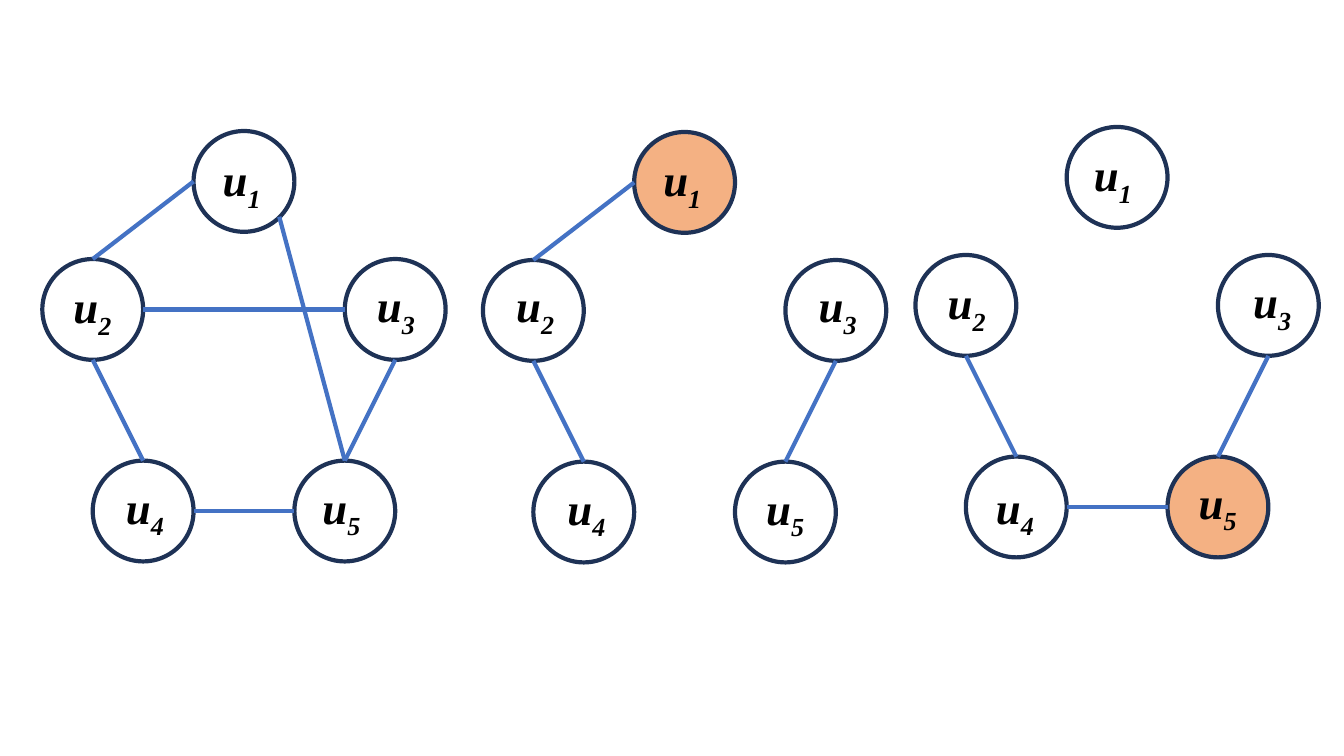
from dataclasses import dataclass
from typing import NamedTuple

from lxml import etree
from pptx import Presentation
from pptx.dml.color import RGBColor
from pptx.enum import shapes, text
from pptx.oxml import ns
from pptx.slide import Slide
from pptx.util import Inches, Pt


@dataclass(frozen=True)
class Theme:
    outline: RGBColor = RGBColor(0x1E, 0x32, 0x56)
    edge: RGBColor = RGBColor(0x44, 0x72, 0xC4)
    highlight: RGBColor = RGBColor(0xF4, 0xB1, 0x83)
    ink: RGBColor = RGBColor(0, 0, 0)
    font: str = "Times New Roman"
    label_size: Pt = Pt(32)
    line_width: Pt = Pt(3)


class Label(NamedTuple):
    left: float
    top: float
    width: float


class Edge(NamedTuple):
    start: int
    start_side: str
    end: int
    end_side: str


@dataclass(frozen=True)
class Graph:
    left: float
    top: float
    labels: dict[int, Label]
    edges: list[Edge]
    highlighted: int | None = None


THEME = Theme()
DIAMETER = 1.0
LABEL_HEIGHT = 0.64

# Node positions inside a graph, and points on a circle as shares of its box
NODES = {1: (1.5, 0), 5: (2.5, 3.27), 3: (3, 1.27), 2: (0, 1.27), 4: (0.5, 3.27)}
SIDES = {"top": (0.5, 0), "left": (0, 0.5), "bottom": (0.5, 1),
         "right": (1, 0.5), "lower right": (0.85, 0.85)}

# Edges by the nodes they join
U1_U2 = Edge(1, "left", 2, "top")
U2_U4 = Edge(2, "bottom", 4, "top")
U2_U3 = Edge(2, "right", 3, "left")
U3_U5 = Edge(3, "bottom", 5, "top")
U1_U5 = Edge(1, "lower right", 5, "top")
U4_U5 = Edge(4, "right", 5, "left")

GRAPHS = [
    Graph(0.42, 1.3,
          {1: Label(2.11, 1.46, 0.68), 3: Label(3.64, 2.71, 0.87),
           2: Label(0.63, 2.72, 0.73), 4: Label(1.15, 4.71, 0.78),
           5: Label(3.1, 4.71, 0.73)},
          [U1_U2, U2_U4, U2_U3, U3_U5, U1_U5, U4_U5]),
    Graph(4.79, 1.31,
          {1: Label(6.48, 1.46, 0.85), 3: Label(8.02, 2.71, 0.82),
           2: Label(5.02, 2.71, 0.85), 4: Label(5.53, 4.72, 0.69),
           5: Label(7.5, 4.72, 0.73)},
          [U1_U2, U2_U4, U3_U5], highlighted=1),
    Graph(9.08, 1.26,
          {1: Label(10.75, 1.41, 0.71), 3: Label(12.33, 2.67, 0.67),
           2: Label(9.3, 2.68, 0.73), 4: Label(9.78, 4.71, 0.69),
           5: Label(11.79, 4.66, 0.73)},
          [U2_U4, U3_U5, U4_U5], highlighted=5),
]


def draw_node(page: Slide, graph: Graph, node: int) -> None:
    x, y = NODES[node]
    circle = page.shapes.add_shape(
        shapes.MSO_SHAPE.OVAL, Inches(graph.left + x), Inches(graph.top + y),
        Inches(DIAMETER), Inches(DIAMETER))
    circle.shadow.inherit = False
    circle.line.color.rgb = THEME.outline
    circle.line.width = THEME.line_width
    if node == graph.highlighted:
        circle.fill.solid()
        circle.fill.fore_color.rgb = THEME.highlight
    else:
        circle.fill.background()


def draw_label(page: Slide, node: int, label: Label) -> None:
    box = page.shapes.add_textbox(Inches(label.left), Inches(label.top),
                                  Inches(label.width), Inches(LABEL_HEIGHT))
    frame = box.text_frame
    frame.word_wrap = True
    frame.auto_size = text.MSO_AUTO_SIZE.SHAPE_TO_FIT_TEXT
    para = frame.paragraphs[0]
    para.text = "u"
    para.add_run().text = str(node)
    for span in para.runs:
        span.font.name = THEME.font
        span.font.size = THEME.label_size
        span.font.bold = span.font.italic = True
        span.font.color.rgb = THEME.ink
    # Subscript for the node number
    para.runs[1]._r.get_or_add_rPr().set("baseline", "-25000")


def edge_point(graph: Graph, node: int, side: str) -> tuple[Inches, Inches]:
    x, y = NODES[node]
    across, down = SIDES[side]
    return (Inches(graph.left + x + across * DIAMETER),
            Inches(graph.top + y + down * DIAMETER))


def draw_edge(page: Slide, graph: Graph, edge: Edge) -> None:
    line = page.shapes.add_connector(
        shapes.MSO_CONNECTOR.STRAIGHT,
        *edge_point(graph, edge.start, edge.start_side),
        *edge_point(graph, edge.end, edge.end_side))
    line.line.color.rgb = THEME.edge
    line.line.width = THEME.line_width
    # An empty effect list removes the shadow
    etree.SubElement(line._element.spPr, ns.qn("a:effectLst"))


def draw_graph(page: Slide, graph: Graph) -> None:
    for node in NODES:
        draw_node(page, graph, node)
    for node, label in graph.labels.items():
        draw_label(page, node, label)
    for edge in graph.edges:
        draw_edge(page, graph, edge)


def main() -> None:
    deck = Presentation()
    deck.slide_width, deck.slide_height = Inches(13.33), Inches(7.5)
    page = deck.slides.add_slide(deck.slide_layouts[6])
    for graph in GRAPHS:
        draw_graph(page, graph)
    deck.save("out.pptx")


if __name__ == "__main__":
    main()
